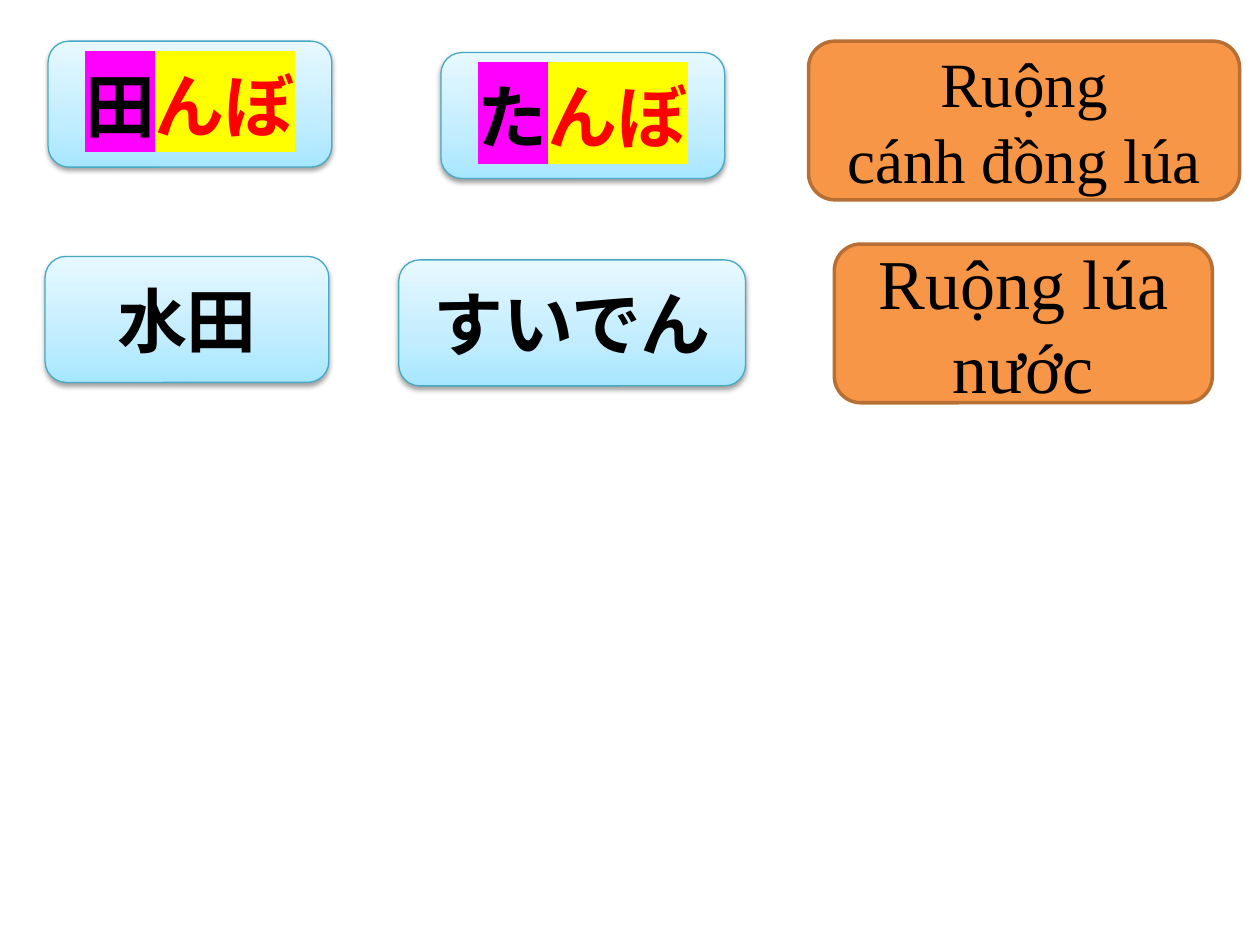
from copy import deepcopy
from lxml.etree import SubElement
from pptx import Presentation
from pptx.dml.color import RGBColor
from pptx.enum.shapes import MSO_SHAPE
from pptx.enum.text import MSO_ANCHOR, PP_ALIGN
from pptx.oxml.ns import qn
from pptx.util import Cm, Pt

BLACK = RGBColor(0x00, 0x00, 0x00)
RED = RGBColor(0xFF, 0x00, 0x00)
PINK = RGBColor(0xFF, 0x00, 0xFF)
YELLOW = RGBColor(0xFF, 0xFF, 0x00)
ORANGE = RGBColor(0xF7, 0x96, 0x46)
BROWN = RGBColor(0xB7, 0x6F, 0x34)
TEAL = RGBColor(0x46, 0xAA, 0xC5)
BLUES = [(0, RGBColor(0xA7, 0xE6, 0xFF)),
         (0.35, RGBColor(0xC1, 0xED, 0xFF)),
         (1, RGBColor(0xE7, 0xF8, 0xFF))]

# Japanese cards: left, top, width in cm, then runs of (text, colour, highlight)
TAIL = ("んぼ", RED, YELLOW)
WORDS = [
    (0.97, 0.83, 5.72, [("田", BLACK, PINK), TAIL]),
    (8.89, 1.06, 5.72, [("た", BLACK, PINK), TAIL]),
    (0.91, 5.17, 5.72, [("水田", BLACK, None)]),
    (8.04, 5.24, 6.99, [("すいでん", BLACK, None)]),
]
# Vietnamese meanings: left, top, width in cm, text size, lines
MEANINGS = [
    (16.3, 0.83, 8.69, 36, ["Ruộng", "cánh đồng lúa"]),
    (16.82, 4.92, 7.62, 40, ["Ruộng lúa nước"]),
]
WORD_FONT = {"name": "Calibri", "size": Pt(40), "bold": True}
MEAN_FONT = {"name": "Times New Roman", "bold": False}


def apply(thing, values):
    for key, value in values.items():
        setattr(thing, key, value)


def add_card(left, top, width, height, edge, weight):
    card = slide.shapes.add_shape(MSO_SHAPE.ROUNDED_RECTANGLE, Cm(left), Cm(top),
                                  Cm(width), Cm(height))
    card.shadow.inherit = False
    card.line.color.rgb = edge
    card.line.width = Pt(weight)
    apply(card.text_frame, {"word_wrap": True, "vertical_anchor": MSO_ANCHOR.MIDDLE})
    return card


def add_run(para, text, color, font, mark=None):
    para.alignment = PP_ALIGN.CENTER
    run = para.add_run()
    run.text = text
    apply(run.font, font)
    run.font.color.rgb = color
    if mark is not None:
        props = run.font._element
        light = SubElement(props, qn("a:highlight"))
        SubElement(light, qn("a:srgbClr"), val=str(mark))
        props.find(qn("a:solidFill")).addnext(light)


def fade(card):
    card.fill.gradient()
    card.fill.gradient_angle = 90
    stops = card._element.spPr.find(".//" + qn("a:gsLst"))
    stops.append(deepcopy(stops[0]))
    for stop, (place, color) in zip(card.fill.gradient_stops, BLUES):
        stop.position = place
        stop.color.rgb = color


def cast(card):
    effects = card._element.spPr.find(qn("a:effectLst"))
    shade = SubElement(effects, qn("a:outerShdw"), blurRad=str(Pt(3.1)),
                       dist=str(Pt(1.6)), dir="5400000", rotWithShape="0")
    color = SubElement(shade, qn("a:srgbClr"), val=str(BLACK))
    SubElement(color, qn("a:alpha"), val="38000")


deck = Presentation()
deck.slide_width, deck.slide_height = Cm(25.4), Cm(19.05)
slide = deck.slides.add_slide(deck.slide_layouts[6])

# Orange meaning cards
for left, top, width, size, lines in MEANINGS:
    card = add_card(left, top, width, 3.2, BROWN, 2)
    card.fill.solid()
    card.fill.fore_color.rgb = ORANGE
    frame = card.text_frame
    for index, line in enumerate(lines):
        para = frame.add_paragraph() if index else frame.paragraphs[0]
        add_run(para, line, BLACK, {**MEAN_FONT, "size": Pt(size)})

# Blue word cards
for left, top, width, runs in WORDS:
    card = add_card(left, top, width, 2.54, TEAL, 0.75)
    fade(card)
    cast(card)
    for text, color, mark in runs:
        add_run(card.text_frame.paragraphs[0], text, color, WORD_FONT, mark)

deck.save("out.pptx")
